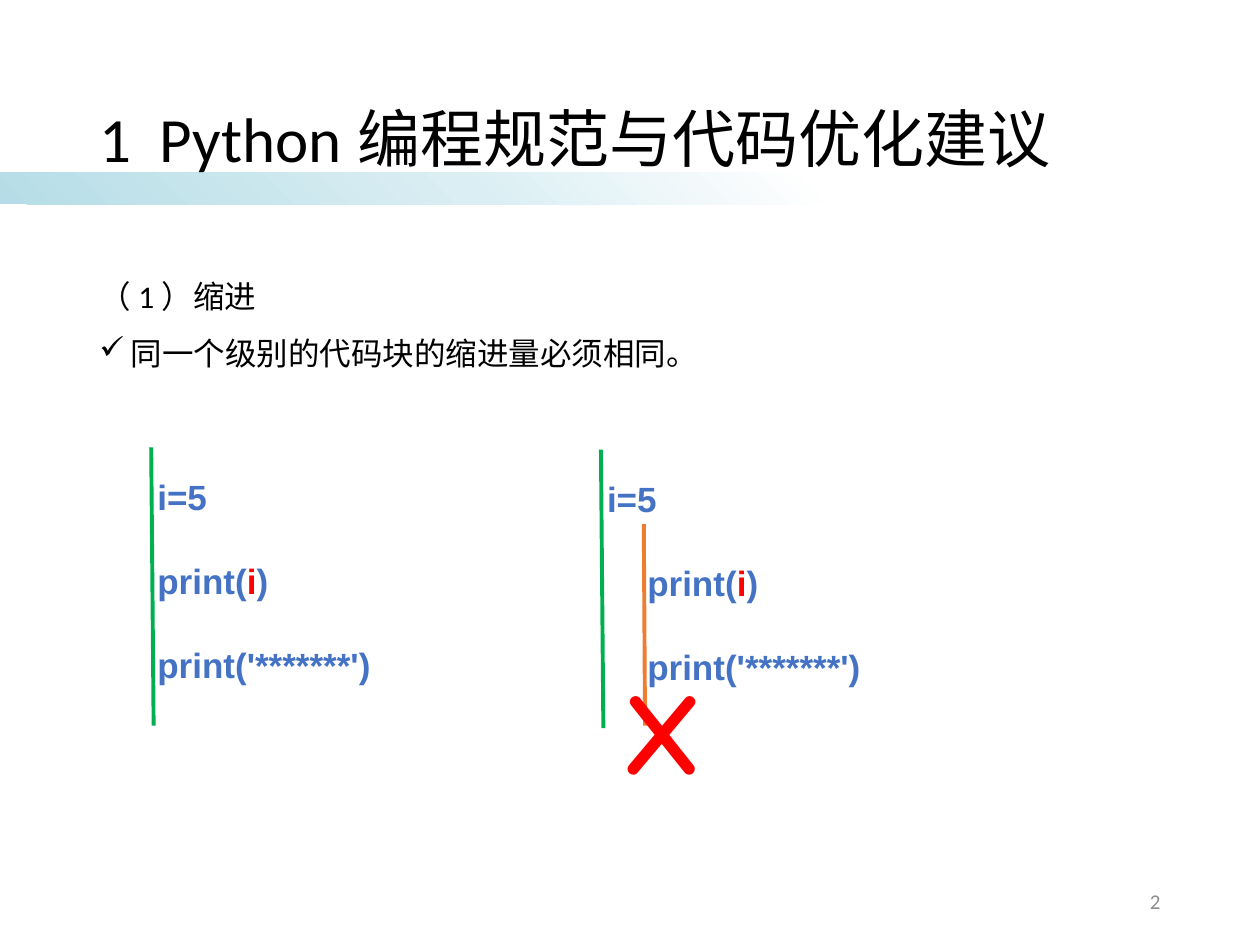
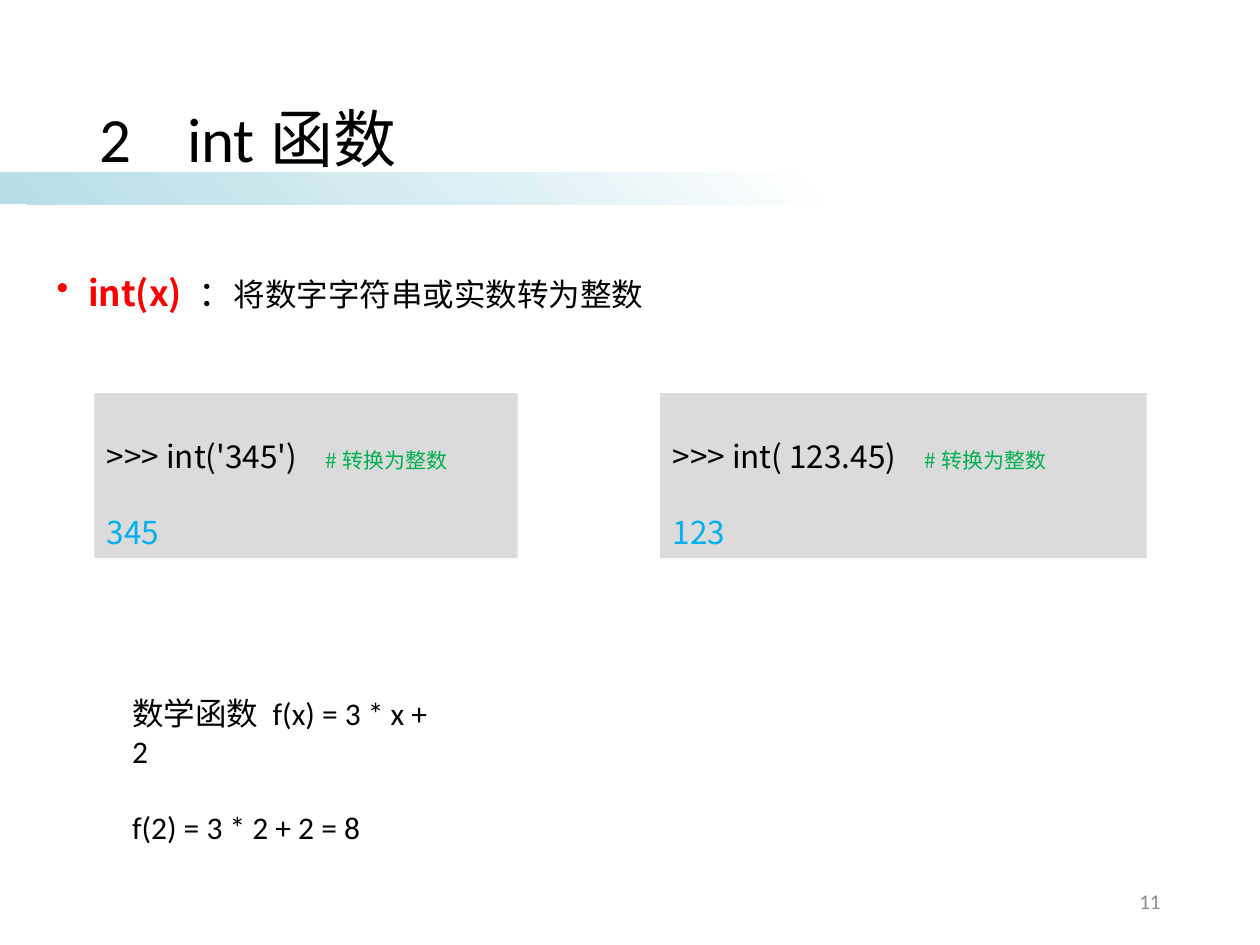
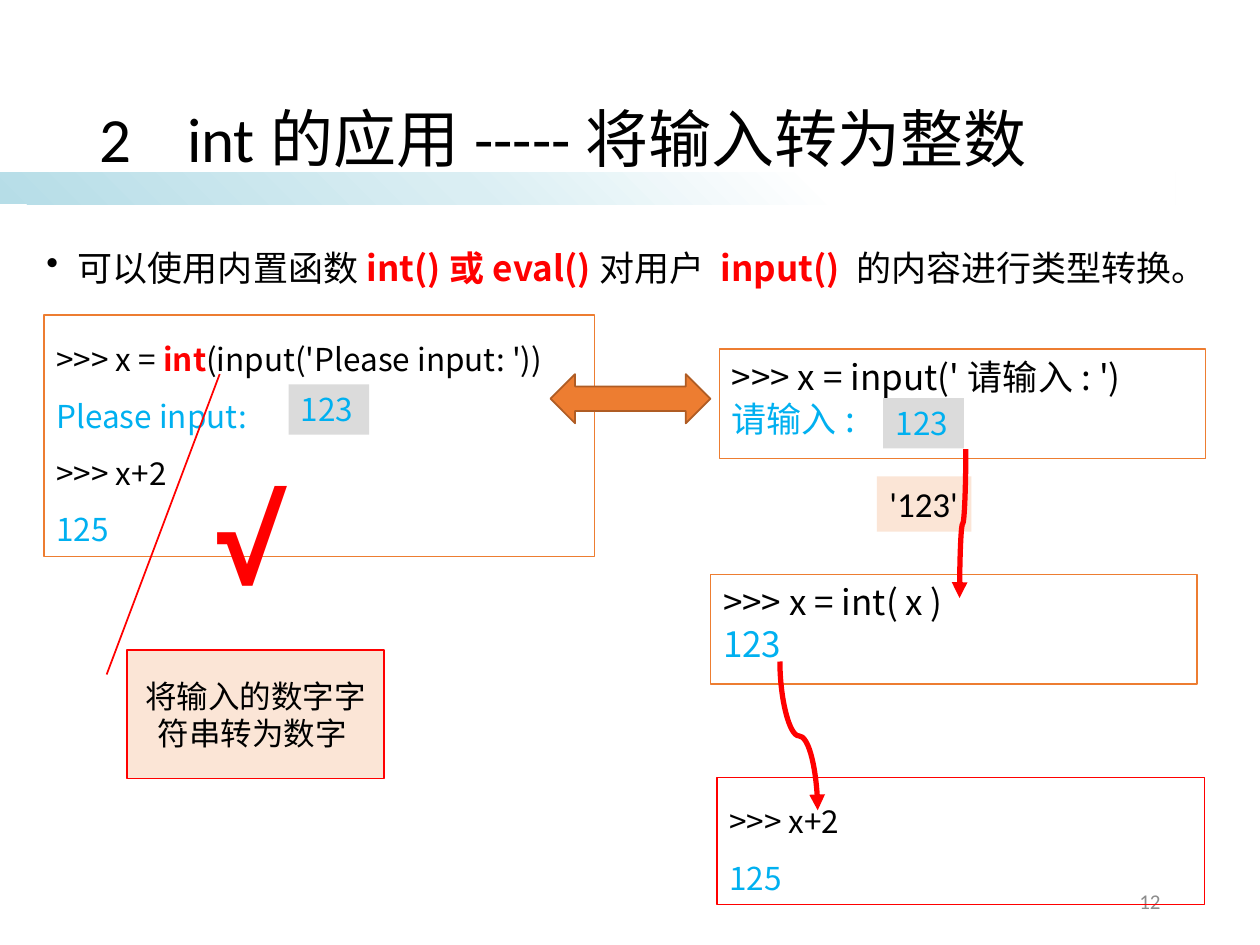
from lxml.etree import SubElement
from pptx import Presentation
from pptx.dml.color import RGBColor
from pptx.enum.shapes import MSO_CONNECTOR, MSO_SHAPE
from pptx.enum.text import MSO_ANCHOR, MSO_AUTO_SIZE, PP_ALIGN
from pptx.oxml import parse_xml
from pptx.oxml.ns import nsdecls, qn
from pptx.util import Pt

BLACK = RGBColor(0x00, 0x00, 0x00)
RED = RGBColor(0xFF, 0x00, 0x00)
GREEN = RGBColor(0x00, 0xB0, 0x50)
SKY = RGBColor(0x00, 0xB0, 0xF0)
BLUE = RGBColor(0x44, 0x72, 0xC4)
ORANGE = RGBColor(0xED, 0x7D, 0x31)
BROWN = RGBColor(0xAF, 0x5C, 0x24)
GRAY = RGBColor(0xDB, 0xDB, 0xDB)
DIM = RGBColor(0x8C, 0x8C, 0x8C)
PEACH = RGBColor(0xFB, 0xE5, 0xD6)

PLAIN = {"name": "Calibri", "size": Pt(18), "color": BLACK}
HEAD = {**PLAIN, "size": Pt(36)}
FOOT = {**PLAIN, "size": Pt(12), "color": DIM}
SHELL = {"name": "Noto Sans CJK SC", "size": Pt(18), "color": BLACK, "bold": False}
LARGE = {**SHELL, "size": Pt(20)}
CODE = {"name": "Arial", "size": Pt(20), "color": BLUE, "bold": True}
SIGN = {"name": "Comic Neue", "size": Pt(66), "color": RED, "bold": True}
STRONG = {"color": RED, "bold": True}
OUT = {"color": SKY}
NOTE = {"size": Pt(12), "color": GREEN}


def put(slide, at, paras, font, par={}, shape=None, fill=None, edge=None,
        width=0.75, anchor=MSO_ANCHOR.TOP, wrap=True):
    """Place a text shape; each paragraph is a list of (text, font changes)."""
    spot = [Pt(n) for n in at]
    shape = shape or slide.shapes.add_textbox(*spot)
    for side, size in zip(("left", "top", "width", "height"), spot):
        setattr(shape, side, size)
    if fill:
        shape.fill.solid()
        shape.fill.fore_color.rgb = fill
    if edge:
        shape.line.color.rgb = edge
        shape.line.width = Pt(width)
    frame = shape.text_frame
    look = {"word_wrap": wrap, "auto_size": MSO_AUTO_SIZE.NONE, "vertical_anchor": anchor}
    for key, value in look.items():
        setattr(frame, key, value)
    for i, runs in enumerate(paras):
        line = frame.add_paragraph() if i else frame.paragraphs[0]
        props = line._p.get_or_add_pPr()
        for key, value in par.items():
            if key == "tab":
                tabs = SubElement(props, qn("a:tabLst"))
                SubElement(tabs, qn("a:tab"), pos=str(Pt(value)), algn="l")
            elif key == "mark":
                props.set("marL", str(Pt(18)))
                props.set("indent", str(Pt(-18)))
                SubElement(props, qn("a:buChar"), char=value)
            else:
                setattr(line, key, value)
        for text, change in runs:
            run = line.add_run()
            run.text = text
            for key, value in {**font, **change}.items():
                if key == "color":
                    run.font.color.rgb = value
                else:
                    setattr(run.font, key, value)
    return shape


def link(slide, kind, ends, color, width):
    wire = slide.shapes.add_connector(kind, *[Pt(n) for n in ends])
    wire.line.color.rgb = color
    wire.line.width = Pt(width)
    SubElement(wire.element.spPr, qn("a:effectLst"))
    return wire


deck = Presentation()
deck.slide_width, deck.slide_height = Pt(720), Pt(540)
layout = deck.slide_layouts[5]

# Titles and page numbers
pages = [
    ("1\tPython编程规范与代码优化建议", 34.5, "2"),
    ("2\tint函数", 50, "11"),
    ("2\tint的应用-----将输入转为整数", 50, "12"),
]
slides = []
for title, tab, number in pages:
    slide = deck.slides.add_slide(layout)
    put(slide, (49.7, 28.8, 620.6, 104.4), [[(title, {})]], HEAD,
        {"alignment": PP_ALIGN.LEFT, "line_spacing": 0.9, "tab": tab},
        shape=slide.shapes.title, anchor=MSO_ANCHOR.MIDDLE)
    put(slide, (508.3, 500.4, 162, 28.8), [[(number, {})]], FOOT,
        {"alignment": PP_ALIGN.RIGHT}, anchor=MSO_ANCHOR.MIDDLE)
    slides.append(slide)
indent, convert, apply = slides

# Fading band under every title, kept on the layout
band = indent.shapes.add_shape(MSO_SHAPE.RECTANGLE, 0, Pt(98.6), Pt(671.8), Pt(18.3))
band.shadow.inherit = False
band.line.fill.background()
band.fill.gradient()
band.fill.gradient_angle = 45
stops = band.element.spPr.find(qn("a:gradFill")).find(qn("a:gsLst"))
for stop in list(stops):
    stops.remove(stop)
for pos, color in ((0, "B6DDE7"), (40, "DAEEF3"), (70, "FFFFFF"), (100, "FFFFFF")):
    stops.append(parse_xml(
        f'<a:gs {nsdecls("a")} pos="{pos * 1000}"><a:srgbClr val="{color}"/></a:gs>'))
layout.shapes.element.insert(2, band.element)

# Indentation
rule = put(indent, (49.7, 144, 347.8, 102.2),
           [[("（1）缩进", {})], [("同一个级别的代码块的缩进量必须相同。", {})]],
           PLAIN, {"line_spacing": 1.5, "mark": "✓"})
first, second = rule.text_frame.paragraphs
first.space_before, second.space_after = Pt(10), Pt(4.5)
props = first._p.pPr
props.replace(props.find(qn("a:buChar")), parse_xml(f'<a:buNone {nsdecls("a")}/>'))

for x, y, inset in ((82.8, 244.1, 0), (339.8, 245.5, 23)):
    code = put(indent, (x, y, 181.4, 150),
               [[("i=5", {})],
                [("print(", {}), ("i", {"color": RED}), (")", {})],
                [("print('*******')", {})]],
               CODE, {"line_spacing": 2.0})
    for line in code.text_frame.paragraphs[1:]:
        line._p.get_or_add_pPr().set("marL", str(Pt(inset)))
    link(indent, MSO_CONNECTOR.STRAIGHT,
         (x + 3.6, y + 11.5, x + 5, y + 170.6), GREEN, 2.25)
link(indent, MSO_CONNECTOR.STRAIGHT, (367.9, 299.5, 368.6, 414.7), ORANGE, 2.25)
put(indent, (348.5, 373, 63.4, 87.1), [[("X", {})]], SIGN)

# The int function
put(convert, (25.2, 139.7, 658.8, 64.8),
    [[("int(x) ", STRONG), ("：", {}), ("将数字字符串或实数转为整数", {"size": Pt(18)})]],
    LARGE, {"line_spacing": 1.5, "mark": "•"})
for x, width, tab, call, result in (
        (54, 241.9, 125, ">>> int('345')", "345"),
        (377.3, 277.9, 144, ">>> int( 123.45)", "123")):
    put(convert, (x, 224.6, width, 94.3),
        [[(call + "\t", {}), ("#转换为整数", NOTE)], [(result, OUT)]],
        SHELL, {"line_spacing": 2.0, "tab": tab}, fill=GRAY)
math = put(convert, (68.4, 393.1, 194.4, 72.7),
           [[("数学函数 f(x) = 3 * x + 2", {})], [("f(2) = 3 * 2 + 2 = 8", {})]], PLAIN)
math.text_frame.paragraphs[1].space_before = Pt(21.6)

# Turning input into a number
loose = {"line_spacing": 1.5}
put(apply, (19.4, 125.3, 674.6, 64.8),
    [[("可以使用内置函数", {}), ("int()或eval()", STRONG), ("对用户", {}),
      (" input() ", STRONG), ("的内容进行类型转换。", {})]],
    LARGE, {**loose, "mark": "•"})
panels = [
    ((25.2, 180, 314.6, 138.2), SHELL, loose, ORANGE,
     [[(">>> x = ", {}), ("int", STRONG), ("(input('Please input: '))", {})],
      [("Please input:", OUT)], [(">>> x+2", {})], [("125", OUT)]]),
    ((411.1, 199.4, 277.9, 62.6), LARGE, {}, ORANGE,
     [[(">>> x = input('请输入: ')", {})], [("请输入:", OUT)]]),
    ((406.1, 328.3, 277.9, 62.6), LARGE, {}, ORANGE,
     [[(">>> x = int( x )", {})], [("123", OUT)]]),
    ((409.7, 444.2, 278.6, 72.7), SHELL, loose, RED,
     [[(">>> x+2", {})], [("125", OUT)]]),
]
for at, font, par, edge, paras in panels:
    put(apply, at, paras, font, par, edge=edge)
for x, y in ((164.9, 219.6), (504.7, 227.5)):
    put(apply, (x, y, 46.1, 28.8), [[("123", OUT)]], SHELL, fill=GRAY, wrap=False)
put(apply, (501.1, 272.2, 54, 31.7), [[("'123'", {})]],
    {**PLAIN, "size": Pt(20)}, fill=PEACH)
put(apply, (115.9, 265, 63.4, 87.1), [[("√", {})]], {**SIGN, "name": "Open Sans"})

for ends, angle in (((507.6, 297.4, 592.6, 301), 90), ((499, 409.7, 414, 431.3), 270)):
    curve = link(apply, MSO_CONNECTOR.CURVE, ends, RED, 3)
    curve.rotation = angle
    SubElement(curve.line._get_or_add_ln(), qn("a:tailEnd"), type="triangle")

arrow = apply.shapes.add_shape(MSO_SHAPE.LEFT_RIGHT_ARROW,
                               Pt(314.6), Pt(213.8), Pt(91.4), Pt(28.1))
arrow.shadow.inherit = False
arrow.fill.solid()
arrow.fill.fore_color.rgb = ORANGE
arrow.line.color.rgb = BROWN
arrow.line.width = Pt(1)

hint = apply.shapes.add_shape(MSO_SHAPE.LINE_CALLOUT_1, 0, 0, Pt(1), Pt(1))
hint.shadow.inherit = False
for i, value in enumerate((0.19, -0.08, -2.15, 0.36)):
    hint.adjustments[i] = value
put(apply, (72.7, 371.5, 146.9, 73.4), [[("将输入的数字字符串转为数字 ", {})]], PLAIN,
    {"alignment": PP_ALIGN.CENTER}, shape=hint, fill=PEACH, edge=RED, width=1,
    anchor=MSO_ANCHOR.MIDDLE)

deck.save("out.pptx")
